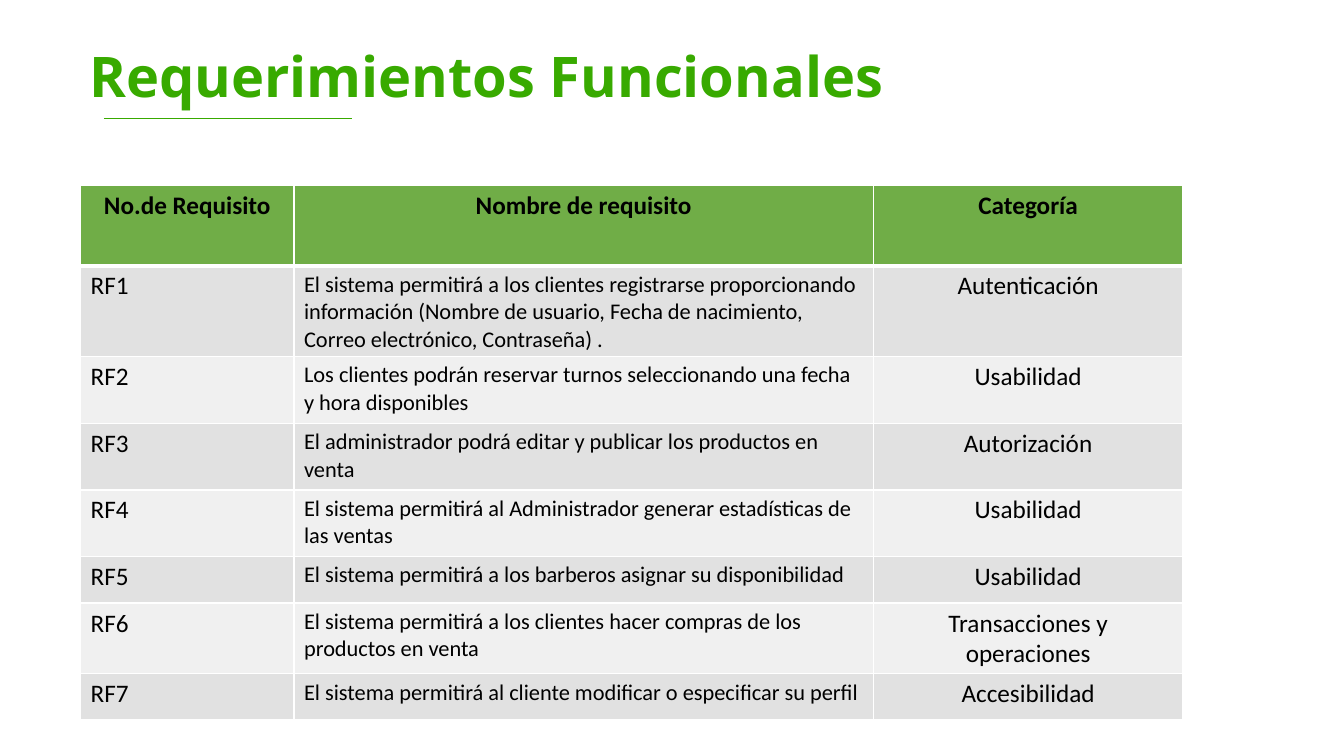
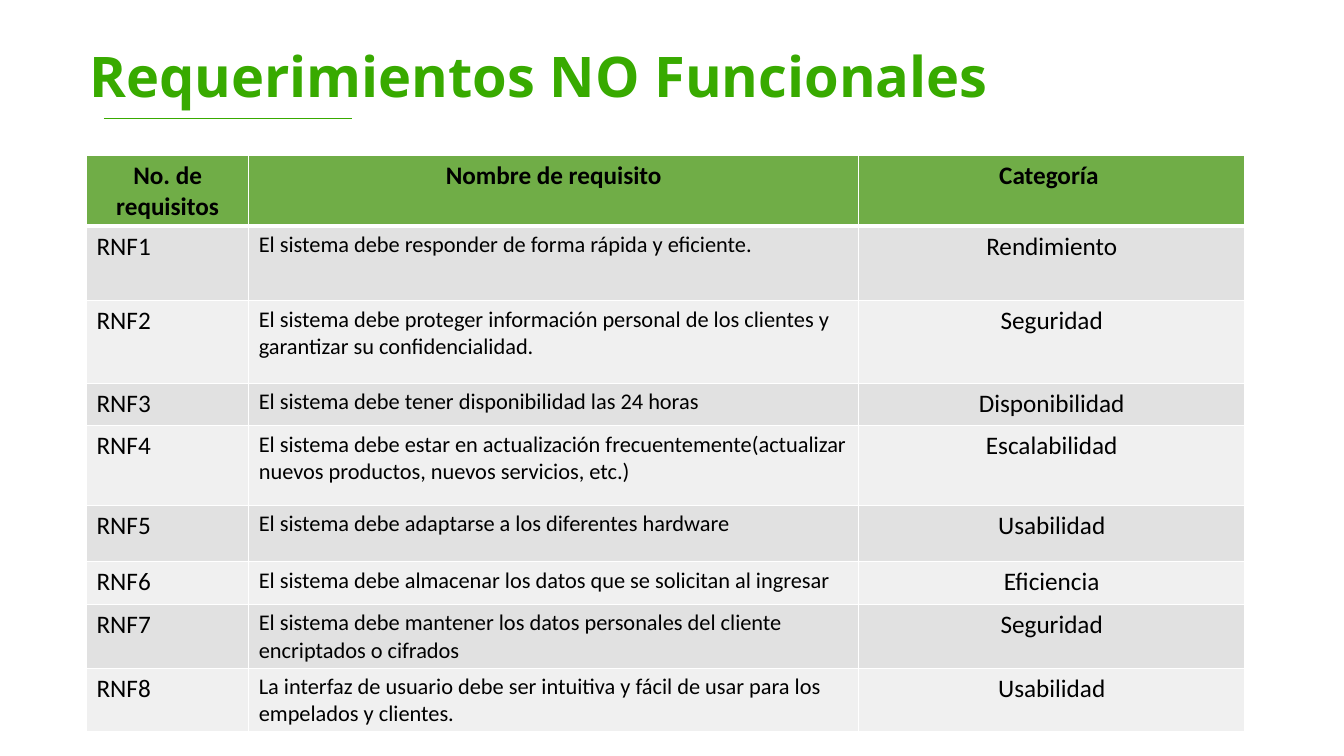
from dataclasses import dataclass
from lxml.etree import SubElement
from pptx import Presentation
from pptx.dml.color import RGBColor
from pptx.enum.shapes import MSO_CONNECTOR
from pptx.enum.text import PP_ALIGN
from pptx.oxml import parse_xml
from pptx.oxml.ns import nsdecls, qn
from pptx.util import Cm, Pt


@dataclass(frozen=True)
class Theme:
    title_color: str = "38AA00"
    header_fill: str = "70AD47"
    band_fills: tuple = ("E1E1E1", "F0F0F0")
    border_color: str = "FFFFFF"
    text_color: str = "000000"
    title_font: str = "Noto Sans"
    table_font: str = "Calibri"
    title_size: int = 40
    label_size: int = 18
    description_size: int = 16
    line_width: int = 1
    header_line_width: int = 3


theme = Theme()


def style_font(font, name, size, color, bold):
    font.name = name
    font.size = Pt(size)
    font.color.rgb = RGBColor.from_string(color)
    font.bold = bold


def set_borders(cell, widths):
    properties = cell._tc.get_or_add_tcPr()
    for position, (side, width) in enumerate(zip("LRTB", widths)):
        properties.insert(position, parse_xml(
            f'<a:ln{side} {nsdecls("a")} w="{Pt(width)}"><a:solidFill>'
            f'<a:srgbClr val="{theme.border_color}"/></a:solidFill></a:ln{side}>'
        ))


slides = [
    {
        "title": "Requerimientos Funcionales",
        "position": (2.03, 4.67),
        "columns": (5.38, 14.6, 7.8),
        "heights": (2.03, 1.68, 1.68, 1.68, 1.68, 1.17, 1.17, 1.17),
        "rows": [
            ("No.de Requisito", "Nombre de requisito", "Categoría"),
            ("RF1", "El sistema permitirá a los clientes registrarse proporcionando información "
             "(Nombre de usuario, Fecha de nacimiento, Correo electrónico, Contraseña) .",
             "Autenticación"),
            ("RF2", "Los clientes podrán reservar turnos seleccionando una fecha y hora disponibles",
             "Usabilidad"),
            ("RF3", "El administrador podrá editar y publicar los productos en venta",
             "Autorización"),
            ("RF4", "El sistema permitirá al Administrador generar estadísticas de las ventas",
             "Usabilidad"),
            ("RF5", "El sistema permitirá a los barberos asignar su disponibilidad", "Usabilidad"),
            ("RF6", "El sistema permitirá a los clientes hacer compras de los productos en venta",
             "Transacciones y operaciones"),
            ("RF7", "El sistema permitirá al cliente modificar o especificar su perfil",
             "Accesibilidad"),
        ],
    },
    {
        "title": "Requerimientos NO Funcionales",
        "position": (2.18, 3.92),
        "columns": (4.09, 15.37, 9.73),
        "heights": (1.55, 1.88, 2.08, 1.07, 2.01, 1.42, 1.07, 1.07, 1.47),
        "rows": [
            ("No. de requisitos", "Nombre de requisito", "Categoría "),
            ("RNF1", "El sistema debe responder de forma rápida y eficiente.", "Rendimiento"),
            ("RNF2", "El sistema debe proteger información personal de los clientes y garantizar "
             "su confidencialidad.", "Seguridad"),
            ("RNF3", "El sistema debe tener disponibilidad las 24 horas", "Disponibilidad"),
            ("RNF4", "El sistema debe estar en actualización frecuentemente(actualizar nuevos "
             "productos, nuevos servicios, etc.)", "Escalabilidad"),
            ("RNF5", "El sistema debe adaptarse a los diferentes hardware", "Usabilidad"),
            ("RNF6", "El sistema debe almacenar los datos que se solicitan al ingresar",
             "Eficiencia"),
            ("RNF7", "El sistema debe mantener los datos personales del cliente encriptados o "
             "cifrados", "Seguridad"),
            ("RNF8", "La interfaz de usuario debe ser intuitiva y fácil de usar para los empelados "
             "y clientes.", "Usabilidad"),
        ],
    },
]

presentation = Presentation()
presentation.slide_width = Cm(33.87)
presentation.slide_height = Cm(19.05)

for content in slides:
    slide = presentation.slides.add_slide(presentation.slide_layouts[6])

    title = slide.shapes.add_textbox(Cm(2), Cm(0.92), Cm(28.5), Cm(2.2))
    title.text_frame.word_wrap = True
    paragraph = title.text_frame.paragraphs[0]
    paragraph.text = content["title"]
    style_font(paragraph.font, theme.title_font, theme.title_size, theme.title_color, True)

    underline = slide.shapes.add_connector(
        MSO_CONNECTOR.STRAIGHT, Cm(2.62), Cm(2.98), Cm(8.86), Cm(2.98))
    underline.line.color.rgb = RGBColor.from_string(theme.title_color)
    underline.line.width = Pt(theme.line_width)
    SubElement(underline._element.spPr, qn("a:effectLst"))

    left, top = content["position"]
    rows, columns, heights = content["rows"], content["columns"], content["heights"]
    table = slide.shapes.add_table(
        len(rows), len(columns), Cm(left), Cm(top), Cm(sum(columns)), Cm(sum(heights))).table
    for column, width in zip(table.columns, columns):
        column.width = Cm(width)

    for row_index, (texts, height) in enumerate(zip(rows, heights)):
        table.rows[row_index].height = Cm(height)
        is_header = row_index == 0
        fill = theme.header_fill if is_header else theme.band_fills[(row_index - 1) % 2]
        top_width = theme.header_line_width if row_index == 1 else theme.line_width
        bottom_width = theme.header_line_width if is_header else theme.line_width
        for column_index, text in enumerate(texts):
            cell = table.cell(row_index, column_index)
            cell.fill.solid()
            cell.fill.fore_color.rgb = RGBColor.from_string(fill)
            set_borders(cell, (theme.line_width, theme.line_width, top_width, bottom_width))
            paragraph = cell.text_frame.paragraphs[0]
            paragraph.text = text
            centered = is_header or column_index == 2
            paragraph.alignment = PP_ALIGN.CENTER if centered else PP_ALIGN.LEFT
            is_description = column_index == 1 and not is_header
            size = theme.description_size if is_description else theme.label_size
            style_font(paragraph.font, theme.table_font, size, theme.text_color, is_header)

presentation.save("out.pptx")
